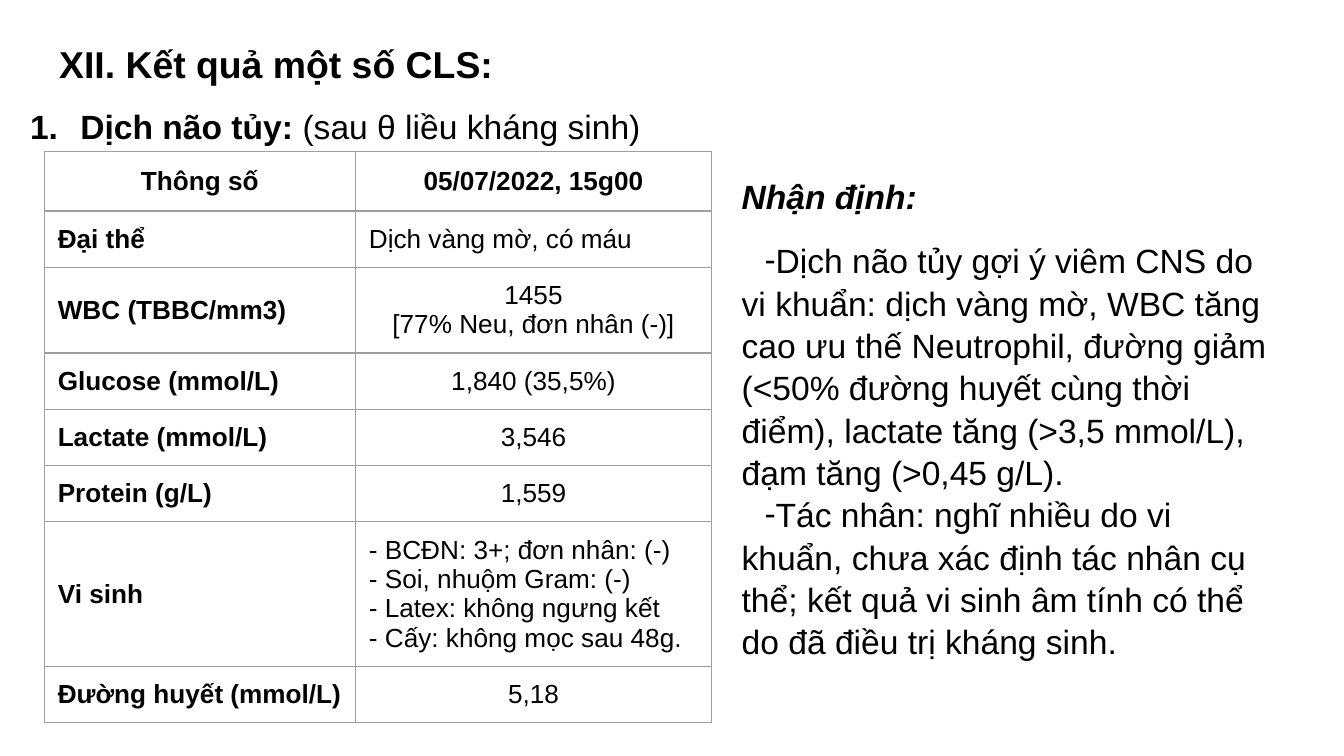
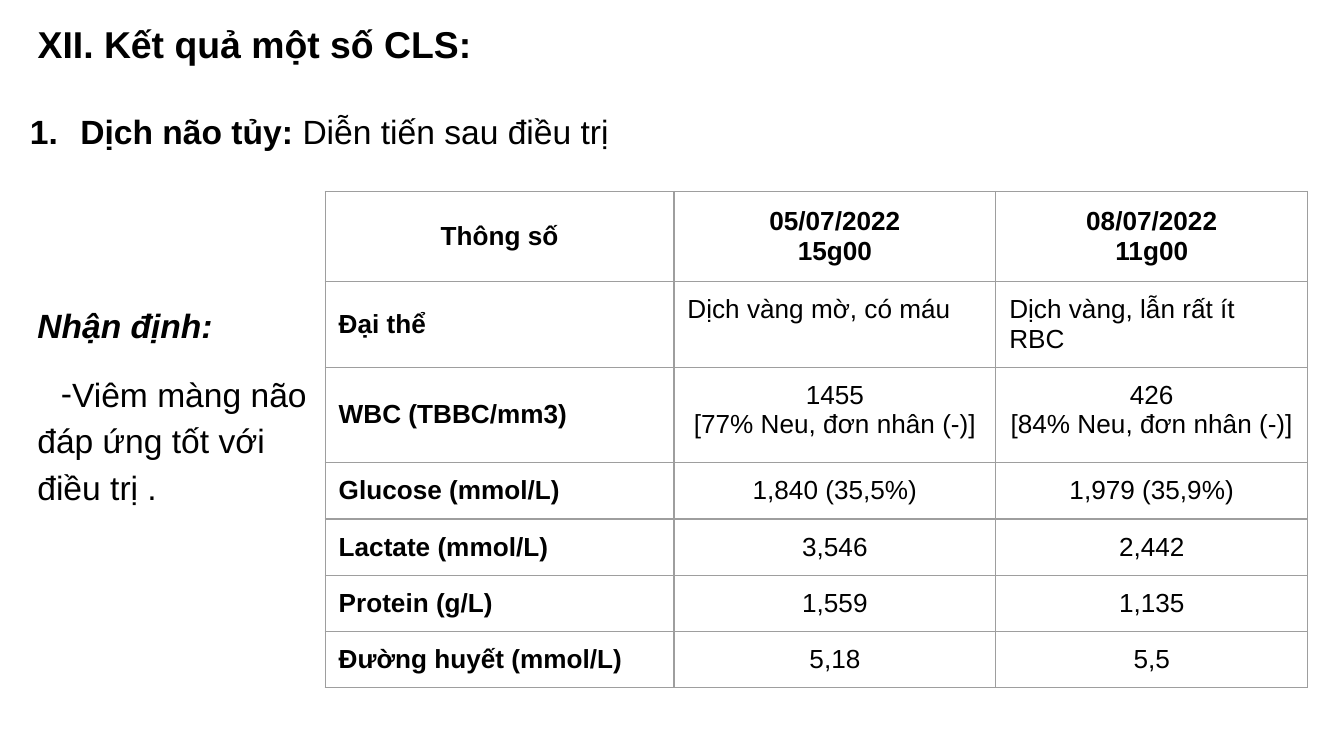
from dataclasses import dataclass

import pptx
import pptx.dml.color
import pptx.enum.text
import pptx.oxml
import pptx.oxml.ns
import pptx.util

ALIGN = pptx.enum.text.PP_ALIGN
ANCHOR = pptx.enum.text.MSO_ANCHOR
LEFT, CENTER = ALIGN.LEFT, ALIGN.CENTER


@dataclass(frozen=True)
class Theme:
    font: str = "Arial"
    ink: str = "000000"
    paper: str = "FFFFFF"
    grid: str = "9E9E9E"
    grid_width: float = 0.75
    title_size: int = 20
    body_size: int = 18
    table_size: int = 14
    inset: int = 20
    row_height: int = 83
    note_gap: int = 12


THEME = Theme()
PAGE_TITLE = "XII. Kết quả một số CLS:"
NOTE_TITLE = "Nhận định:"


def px(length):
    return pptx.util.Emu(length * 4572)


def rgb(value):
    return pptx.dml.color.RGBColor.from_string(value)


def drawing_element(tag, content="", **attributes):
    listed = "".join(f' {name}="{value}"' for name, value in attributes.items())
    return pptx.oxml.parse_xml(
        f'<a:{tag} {pptx.oxml.ns.nsdecls("a")}{listed}>{content}</a:{tag}>'
    )


def add_run(paragraph, text, size, bold=False, italic=False):
    run = paragraph.add_run()
    run.text = text
    run.font.name = THEME.font
    run.font.size = pptx.util.Pt(size)
    run.font.bold = bold
    run.font.italic = italic
    run.font.color.rgb = rgb(THEME.ink)


def set_bullet(paragraph, bullet, margin, indent):
    properties = paragraph._p.get_or_add_pPr()
    properties.set("marL", str(px(margin)))
    properties.set("indent", str(px(indent)))
    properties.append(drawing_element("buClr", f'<a:srgbClr val="{THEME.ink}"/>'))
    properties.append(drawing_element("buFont", typeface=THEME.font))
    properties.append(bullet)


def set_insets(holder):
    for side in ("left", "top", "right", "bottom"):
        setattr(holder, f"margin_{side}", px(THEME.inset))


def set_frame(frame):
    frame.word_wrap = True
    frame.auto_size = pptx.enum.text.MSO_AUTO_SIZE.NONE
    frame.vertical_anchor = ANCHOR.TOP
    set_insets(frame)


def add_page(deck, left, top):
    slide = deck.slides.add_slide(deck.slide_layouts[5])
    slide.background.fill.solid()
    slide.background.fill.fore_color.rgb = rgb(THEME.paper)
    title = slide.shapes.title
    title.left, title.top, title.width, title.height = map(px, (left, top, 1864, 126))
    set_frame(title.text_frame)
    paragraph = title.text_frame.paragraphs[0]
    paragraph.alignment = LEFT
    add_run(paragraph, PAGE_TITLE, THEME.title_size, bold=True)
    return slide


def add_text_frame(slide, box):
    frame = slide.shapes.add_textbox(*map(px, box)).text_frame
    set_frame(frame)
    return frame


def add_section_heading(slide, box, topic, detail):
    paragraph = add_text_frame(slide, box).paragraphs[0]
    set_bullet(paragraph, drawing_element("buAutoNum", type="arabicPeriod"), 100, -75)
    paragraph.line_spacing = 1.15
    add_run(paragraph, topic, THEME.body_size, bold=True)
    add_run(paragraph, detail, THEME.body_size)


def add_assessment(slide, box, findings, indent, spacing):
    frame = add_text_frame(slide, box)
    heading = frame.paragraphs[0]
    heading.line_spacing = spacing
    add_run(heading, NOTE_TITLE, THEME.body_size, bold=True, italic=True)
    for position, finding in enumerate(findings):
        paragraph = frame.add_paragraph()
        set_bullet(paragraph, drawing_element("buChar", char="-"), 0, indent)
        paragraph.line_spacing = spacing
        paragraph.space_before = pptx.util.Pt(0 if position else THEME.note_gap)
        add_run(paragraph, finding, THEME.body_size)


def set_borders(cell):
    properties = cell._tc.get_or_add_tcPr()
    color = f'<a:solidFill><a:srgbClr val="{THEME.grid}"/></a:solidFill>'
    width = pptx.util.Pt(THEME.grid_width)
    for position, side in enumerate(("lnL", "lnR", "lnT", "lnB")):
        properties.insert(position, drawing_element(side, color, w=width))


def fill_cell(cell, text, align, bold):
    set_insets(cell)
    cell.fill.background()
    set_borders(cell)
    cell.vertical_anchor = ANCHOR.MIDDLE if bold else ANCHOR.TOP
    for number, block in enumerate(text.split("\n")):
        frame = cell.text_frame
        paragraph = frame.add_paragraph() if number else frame.paragraphs[0]
        paragraph.alignment = align
        for position, line in enumerate(block.split("\v")):
            if position:
                paragraph.add_line_break()
            add_run(paragraph, line, THEME.table_size, bold)


def add_results(slide, left, top, widths, header, results):
    rows = [(*header, CENTER)] + results
    height = sum(row[0] for row in rows)
    table = slide.shapes.add_table(
        len(rows), len(widths), *map(px, (left, top, sum(widths), height))
    ).table
    table.first_row = False
    table.horz_banding = False
    for column, width in zip(table.columns, widths):
        column.width = px(width)
    for number, (row_height, label, values, align) in enumerate(rows):
        is_header = number == 0
        table.rows[number].height = px(row_height)
        fill_cell(table.cell(number, 0), label, CENTER if is_header else LEFT, True)
        for position, value in enumerate(values, 1):
            fill_cell(table.cell(number, position), value, align, is_header)
    return table


def build_first_result(deck):
    slide = add_page(deck, 68, 41)
    add_section_heading(
        slide, (0, 128, 1204, 162), "Dịch não tủy:", " (sau θ liều kháng sinh)"
    )
    microbiology = (
        "- BCĐN: 3+; đơn nhân: (-)\n- Soi, nhuộm Gram: (-)\n"
        "- Latex: không ngưng kết\n- Cấy: không mọc sau 48g."
    )
    line = THEME.row_height
    add_results(
        slide, 66, 226, (462, 530),
        (88, "Thông số", ["05/07/2022, 15g00"]),
        [
            (line, "Đại thể", ["Dịch vàng mờ, có máu"], LEFT),
            (line, "WBC (TBBC/mm3)", ["1455\n[77% Neu, đơn nhân (-)]"], CENTER),
            (line, "Glucose (mmol/L)", ["1,840 (35,5%)"], CENTER),
            (line, "Lactate (mmol/L)", ["3,546"], CENTER),
            (line, "Protein (g/L)", ["1,559"], CENTER),
            (line, "Vi sinh", [microbiology], LEFT),
            (line, "Đường huyết (mmol/L)", ["5,18"], CENTER),
        ],
    ).columns[0].width = px(463)
    findings = [
        "Dịch não tủy gợi ý viêm CNS do vi khuẩn: dịch vàng mờ, WBC tăng cao "
        "ưu thế Neutrophil, đường giảm (<50% đường huyết cùng thời điểm), "
        "lactate tăng (>3,5 mmol/L), đạm tăng (>0,45 g/L).",
        "Tác nhân: nghĩ nhiều do vi khuẩn, chưa xác định tác nhân cụ thể; "
        "kết quả vi sinh âm tính có thể do đã điều trị kháng sinh.",
    ]
    add_assessment(slide, (1084, 238, 830, 802), findings, 34, 1.05)


def build_follow_up(deck):
    slide = add_page(deck, 36, 11)
    add_section_heading(
        slide, (0, 136, 1532, 162), "Dịch não tủy: ", "Diễn tiến sau điều trị"
    )
    cell_counts = ["1455\n[77% Neu, đơn nhân (-)]", "426\n[84% Neu, đơn nhân (-)]"]
    line = THEME.row_height
    table = add_results(
        slide, 484, 285, (519, 479, 464),
        (134, "Thông số", ["05/07/2022\v15g00", "08/07/2022\v11g00"]),
        [
            (line, "Đại thể", ["Dịch vàng mờ, có máu", "Dịch vàng, lẫn rất ít RBC"], LEFT),
            (142, "WBC (TBBC/mm3)", cell_counts, CENTER),
            (line, "Glucose (mmol/L)", ["1,840 (35,5%)", "1,979 (35,9%)"], CENTER),
            (line, "Lactate (mmol/L)", ["3,546", "2,442"], CENTER),
            (line, "Protein (g/L)", ["1,559", "1,135"], CENTER),
            (line, "Đường huyết (mmol/L)", ["5,18", "5,5"], CENTER),
        ],
    )
    table.cell(1, 2).margin_right = px(106)
    findings = ["Viêm màng não đáp ứng tốt với điều trị ."]
    add_assessment(slide, (36, 425, 486, 694), findings, 35, 1.15)


def main():
    deck = pptx.Presentation()
    deck.slide_width, deck.slide_height = px(2000), px(1125)
    build_first_result(deck)
    build_follow_up(deck)
    deck.save("out.pptx")


if __name__ == "__main__":
    main()
